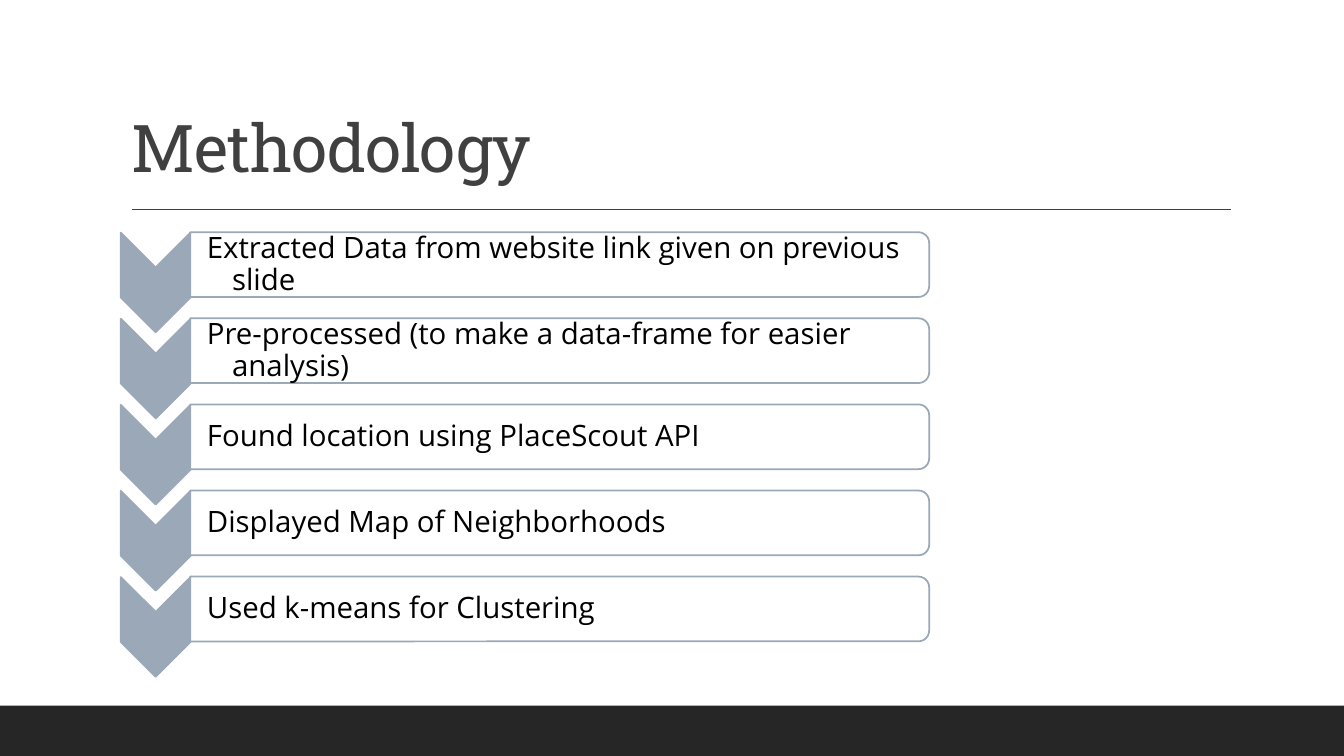
from lxml.etree import SubElement
from pptx import Presentation
from pptx.dml.color import RGBColor
from pptx.enum.shapes import MSO_CONNECTOR, MSO_SHAPE as SHAPE
from pptx.enum.text import MSO_ANCHOR as ANCHOR, MSO_AUTO_SIZE, PP_ALIGN
from pptx.oxml.ns import qn
from pptx.util import Pt

STEEL, CHARCOAL = "9BA8B7", "404040"
PITCH = 61.5

deck = Presentation()
deck.slide_width, deck.slide_height = Pt(960), Pt(540)
slide = deck.slides.add_slide(deck.slide_layouts[5])


def add_block(kind, center_x, center_y, width, height, fill, line=None, rotation=0):
    """Add a preset shape centred on a point, turned by rotation."""
    block = slide.shapes.add_shape(kind, Pt(center_x - width / 2),
                                   Pt(center_y - height / 2), Pt(width), Pt(height))
    block.rotation = rotation
    block.shadow.inherit = False
    block.fill.solid()
    block.fill.fore_color.rgb = RGBColor.from_string(fill)
    if line:
        block.line.color.rgb = RGBColor.from_string(line)
        block.line.width = Pt(1.25)
    else:
        block.line.fill.background()


def write(holder, text, size, font, color, anchor, insets, hanging=0, tracking=0):
    """Write one formatted paragraph into a text box or placeholder."""
    frame = holder.text_frame
    frame.word_wrap = True
    frame.auto_size = MSO_AUTO_SIZE.NONE
    frame.vertical_anchor = anchor
    (frame.margin_left, frame.margin_top,
     frame.margin_right, frame.margin_bottom) = map(Pt, insets)
    paragraph = frame.paragraphs[0]
    paragraph.alignment = PP_ALIGN.LEFT
    paragraph.line_spacing = 0.9
    if hanging:
        properties = paragraph._p.get_or_add_pPr()
        properties.set("marL", str(Pt(hanging)))
        properties.set("indent", str(-Pt(hanging)))
    run = paragraph.add_run()
    run.text = text
    run.font.size, run.font.name = Pt(size), font
    run.font.color.rgb = RGBColor.from_string(color)
    if tracking:
        run._r.get_or_add_rPr().set("spc", str(int(tracking * 100)))


# Footer band, title and rule
add_block(SHAPE.RECTANGLE, 480, 522, 960, 36, "262626")

title = slide.shapes.title
title.left, title.top, title.width, title.height = Pt(86.4), Pt(22.5), Pt(792), Pt(114.5)
write(title, "Methodology", size=47, font="Roboto Slab", color=CHARCOAL,
      anchor=ANCHOR.BOTTOM, insets=(7.2, 3.6, 7.2, 3.6), tracking=-0.5)

rule = slide.shapes.add_connector(MSO_CONNECTOR.STRAIGHT, Pt(94.3), Pt(149.5),
                                  Pt(879), Pt(149.5))
rule.line.color.rgb = RGBColor.from_string(CHARCOAL)
rule.line.width = Pt(1)
SubElement(rule._element.spPr, qn("a:effectLst"))

# Steps: a downward chevron beside a card rounded on its right
steps = [
    "Extracted Data from website link given on previous slide",
    "Pre-processed (to make a data-frame for easier analysis)",
    "Found location using PlaceScout API",
    "Displayed Map of Neighborhoods",
    "Used k-means for Clustering",
]
for index, step in enumerate(steps):
    middle = 189 + index * PITCH
    add_block(SHAPE.CHEVRON, 111.2, middle + 12.8, 71.2, 49.8, STEEL, STEEL, rotation=90)
    add_block(SHAPE.ROUND_2_SAME_RECTANGLE, 399.8, middle, 46.3, 527.8,
              "FFFFFF", STEEL, rotation=90)
    label = slide.shapes.add_textbox(Pt(136), Pt(middle - 20.9), Pt(525.6), Pt(41.8))
    write(label, step, size=21, font="Open Sans", color="000000",
          anchor=ANCHOR.MIDDLE, insets=(11.8, 0.9, 0.9, 0.9), hanging=18)

deck.save("out.pptx")
